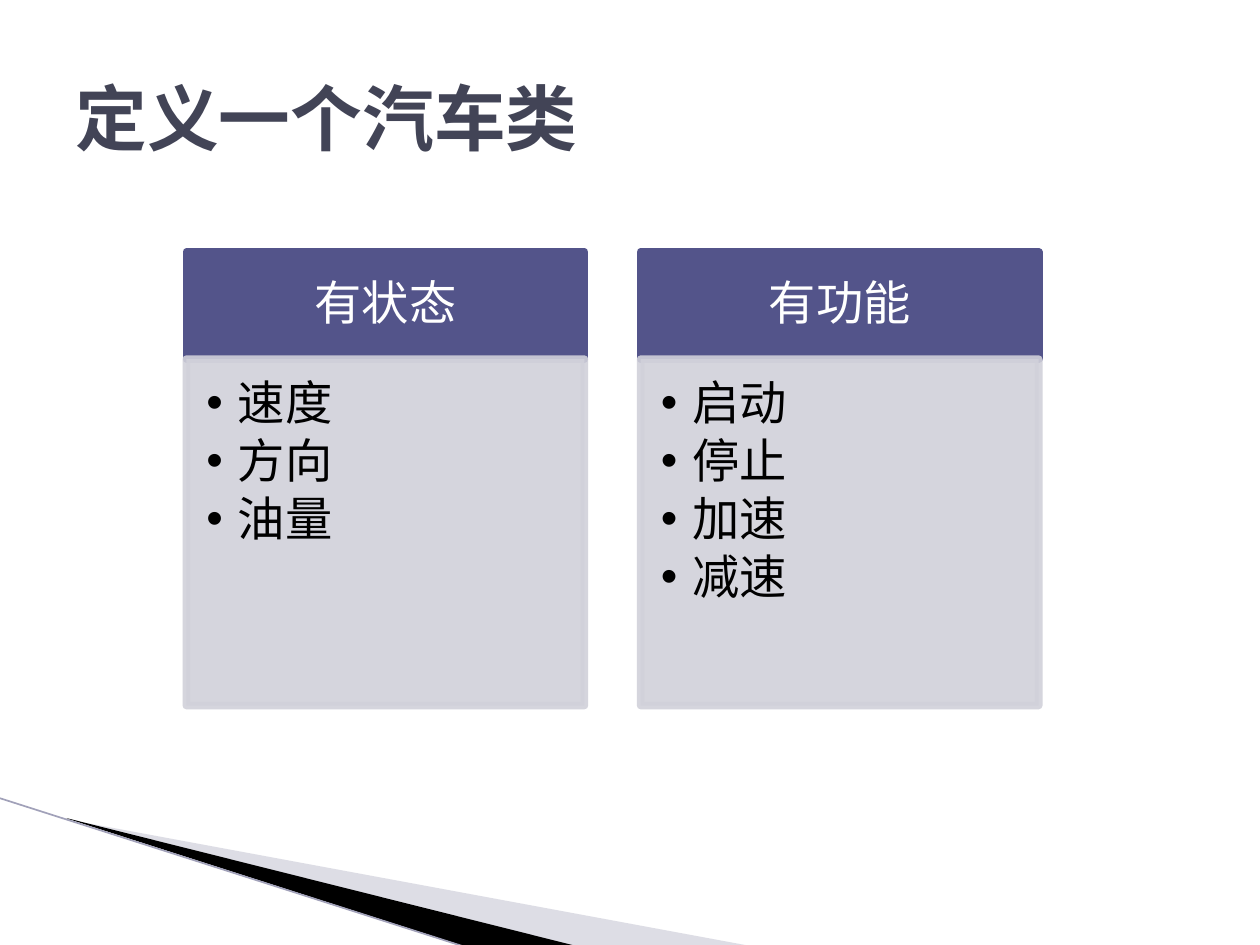
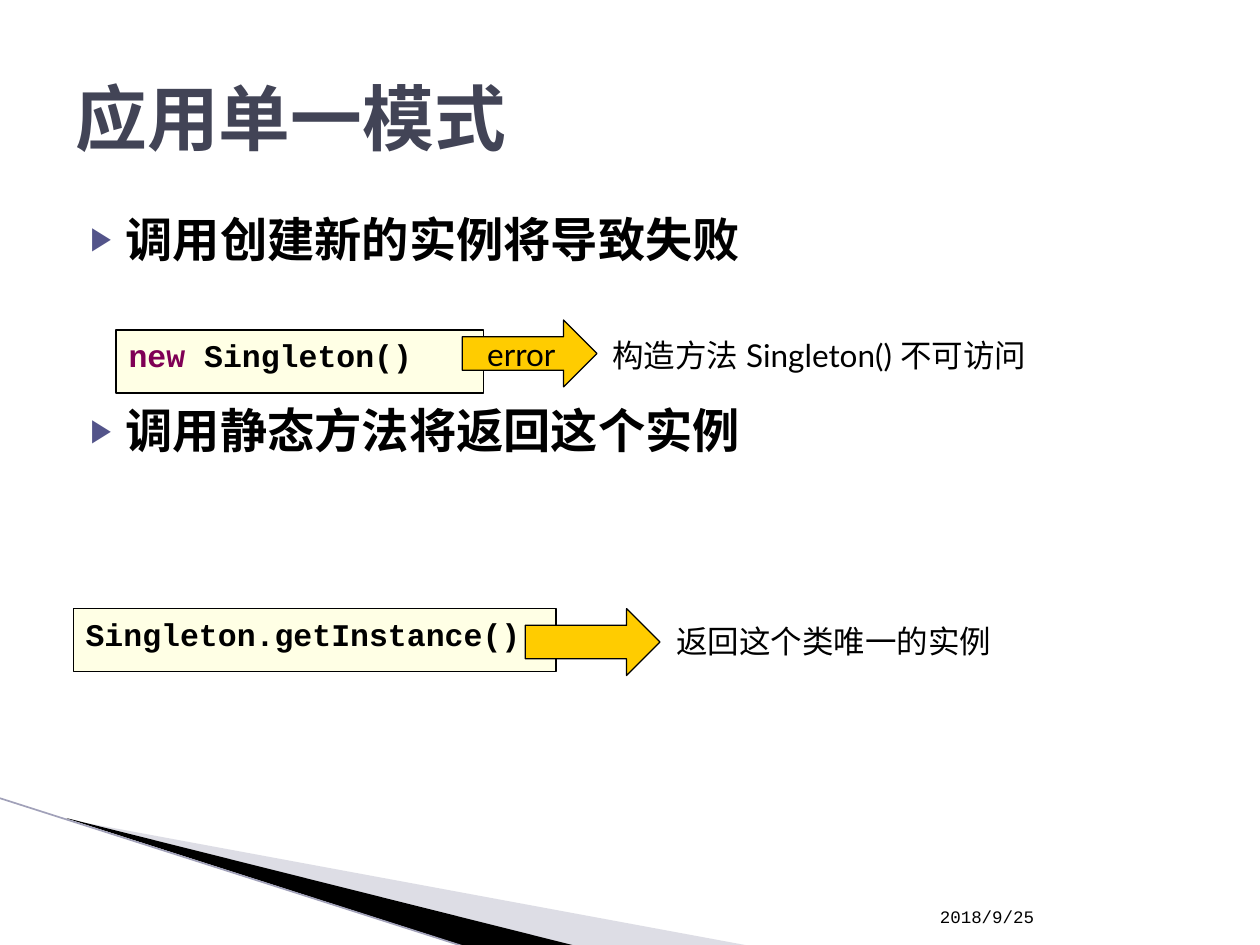
from lxml.etree import SubElement
from pptx import Presentation
from pptx.dml.color import RGBColor
from pptx.enum.shapes import MSO_CONNECTOR, MSO_SHAPE
from pptx.enum.text import MSO_ANCHOR, PP_ALIGN
from pptx.oxml.ns import qn
from pptx.util import Pt

INDIGO = RGBColor(0x53, 0x54, 0x8A)
SLATE = RGBColor(0x42, 0x44, 0x56)
PALE = RGBColor(0xD1, 0xD1, 0xDA)
MIST = RGBColor(0xAA, 0xAA, 0xBF)
EDGE = RGBColor(0xA1, 0xA1, 0xB9)
CREAM = RGBColor(0xFF, 0xFF, 0xCC)
AMBER = RGBColor(0xFF, 0xCC, 0x00)
PURPLE = RGBColor(0x7F, 0x00, 0x55)
BLACK = RGBColor(0, 0, 0)
WHITE = RGBColor(0xFF, 0xFF, 0xFF)

MONO = "Courier New"
SANS = "Lato"
INSETS = (7.2, 3.6, 7.2, 3.6)


class Deck:
    def __init__(self):
        self.presentation = Presentation()
        self.presentation.slide_width = Pt(720)
        self.presentation.slide_height = Pt(540)
        self.slide = None

    def add_slide(self, title):
        self.slide = self.presentation.slides.add_slide(self.presentation.slide_layouts[6])
        self.wedge([(39.5, 468.5), (428.5, 540.5), (328.5, 540.5), (39.5, 468)], MIST, 40)
        self.wedge([(38, 467.5), (329, 540.5), (268, 541.5), (39, 468)], BLACK)
        self.rule((-0.5, 456), (267, 541.5))
        frame = self.text_box((36, 21.6, 648, 90), anchor=MSO_ANCHOR.MIDDLE)
        self.run(frame.paragraphs[0], title, 41, SLATE, bold=True)

    def wedge(self, corners, color, alpha=None):
        points = [(Pt(x), Pt(y)) for x, y in corners]
        builder = self.slide.shapes.build_freeform(*points[0], scale=1.0)
        builder.add_line_segments(points[1:], close=True)
        self.paint(builder.convert_to_shape(), color, alpha)

    def rule(self, start, end):
        line = self.slide.shapes.add_connector(
            MSO_CONNECTOR.STRAIGHT, *(Pt(v) for v in start + end))
        line.line.color.rgb = EDGE
        line.line.width = Pt(0.95)
        SubElement(line.element.spPr, qn("a:effectLst"))

    def paint(self, shape, fill, alpha=None, line=None, width=0.75, line_alpha=None):
        shape.shadow.inherit = False
        shape.fill.solid()
        shape.fill.fore_color.rgb = fill
        if line is None:
            shape.line.fill.background()
        else:
            shape.line.color.rgb = line
            shape.line.width = Pt(width)
            SubElement(shape.line.fill._xPr, qn("a:round"))
        colors = shape.element.spPr.iter(qn("a:srgbClr"))
        for color, percent in zip(colors, (alpha, line_alpha)):
            if percent:
                SubElement(color, qn("a:alpha"), val=str(percent * 1000))

    def set_frame(self, shape, anchor, insets, wrap):
        frame = shape.text_frame
        frame.word_wrap = wrap
        frame.vertical_anchor = anchor
        (frame.margin_left, frame.margin_top,
         frame.margin_right, frame.margin_bottom) = map(Pt, insets)
        return frame

    def text_box(self, area, anchor=MSO_ANCHOR.TOP, wrap=True):
        box = self.slide.shapes.add_textbox(*map(Pt, area))
        return self.set_frame(box, anchor, INSETS, wrap)

    def block(self, area, kind=MSO_SHAPE.RECTANGLE, anchor=MSO_ANCHOR.TOP,
              align=PP_ALIGN.LEFT, insets=INSETS, wrap=True, **look):
        shape = self.slide.shapes.add_shape(kind, *map(Pt, area))
        self.paint(shape, **look)
        frame = self.set_frame(shape, anchor, insets, wrap)
        frame.paragraphs[0].alignment = align
        return frame

    def run(self, paragraph, text, size, color=BLACK, font=MONO, bold=False):
        run = paragraph.add_run()
        run.text = text
        run.font.size = Pt(size)
        run.font.name = font
        run.font.bold = bold
        run.font.color.rgb = color
        SubElement(run.font._element, qn("a:ea"), typeface=SANS)

    def bullets(self, frame, items, mark, margin, hang, before=(), after=0,
                spacing=1.0, mark_color=None, mark_size=100, bold=False):
        for index, item in enumerate(items):
            paragraph = frame.add_paragraph() if index else frame.paragraphs[0]
            paragraph.alignment = PP_ALIGN.LEFT
            paragraph.line_spacing = spacing
            paragraph.space_before = Pt(before[index] if before else 0)
            paragraph.space_after = Pt(after)
            props = paragraph._p.get_or_add_pPr()
            props.set("marL", str(Pt(margin)))
            props.set("indent", str(-Pt(hang)))
            if mark_color is not None:
                SubElement(SubElement(props, qn("a:buClr")), qn("a:srgbClr"), val=str(mark_color))
            SubElement(props, qn("a:buSzPct"), val=str(mark_size * 1000))
            SubElement(props, qn("a:buFont"), typeface="Arial")
            SubElement(props, qn("a:buChar"), char=mark)
            self.run(paragraph, item, 27, bold=bold)

    def card(self, left, heading, items):
        header = self.block((left, 144, 227.5, 61.2), anchor=MSO_ANCHOR.MIDDLE,
                            align=PP_ALIGN.CENTER, insets=(15, 8.6, 15, 8.6),
                            fill=INDIGO, line=INDIGO, width=4.33)
        header.paragraphs[0].line_spacing = 0.9
        self.run(header.paragraphs[0], heading, 27, WHITE)
        body = self.block((left, 205.2, 227.5, 198), insets=(11.5, 11.5, 15, 17.3),
                          fill=PALE, alpha=90, line=PALE, width=4.33, line_alpha=90)
        self.bullets(body, items, "•", 18, 18, after=4, spacing=0.9)

    def code(self, left, top, width, parts):
        frame = self.block((left, top, width, 36), fill=CREAM, alpha=50, line=BLACK)
        for text, color in parts:
            self.run(frame.paragraphs[0], text, 18, color, bold=True)

    def arrow(self, left, top, label=None):
        frame = self.block((left, top, 77, 38.2), MSO_SHAPE.RIGHT_ARROW, MSO_ANCHOR.MIDDLE,
                           PP_ALIGN.CENTER, wrap=False, fill=AMBER, line=BLACK)
        if label:
            self.run(frame.paragraphs[0], label, 18, font=SANS)

    def remark(self, area, text):
        frame = self.text_box(area, wrap=False)
        self.run(frame.paragraphs[0], text, 18, font=SANS)

    def date(self, text):
        frame = self.text_box((530, 504.7, 151, 28.8), anchor=MSO_ANCHOR.BOTTOM)
        self.run(frame.paragraphs[0], text, 10)


def car_class(deck):
    deck.add_slide("定义一个汽车类")
    cards = [("有状态", ["速度", "方向", "油量"]),
             ("有功能", ["启动", "停止", "加速", "减速"])]
    for column, (heading, items) in enumerate(cards):
        deck.card(106.5 + column * 259.6, heading, items)


def singleton_use(deck):
    deck.add_slide("应用单一模式")
    deck.date("2018/9/25")
    points = deck.text_box((36, 116.6, 648, 356.4))
    deck.bullets(points, ["调用创建新的实例将导致失败", "调用静态方法将返回这个实例"],
                 "▶", 28.8, 20.2, before=(4, 77), mark_color=INDIGO, mark_size=68, bold=True)
    deck.code(66.4, 188.6, 210, [("new", PURPLE), (" Singleton()", BLACK)])
    deck.remark((342.7, 188.6, 283.7, 31), "构造方法 Singleton() 不可访问")
    deck.arrow(264.2, 182.9, "error")
    deck.code(41.8, 347.8, 276, [("Singleton.getInstance()", BLACK)])
    deck.arrow(300.2, 347.8)
    deck.remark((379.4, 352, 214.6, 31), "返回这个类唯一的实例")


def main():
    deck = Deck()
    car_class(deck)
    singleton_use(deck)
    deck.presentation.save("out.pptx")


if __name__ == "__main__":
    main()
